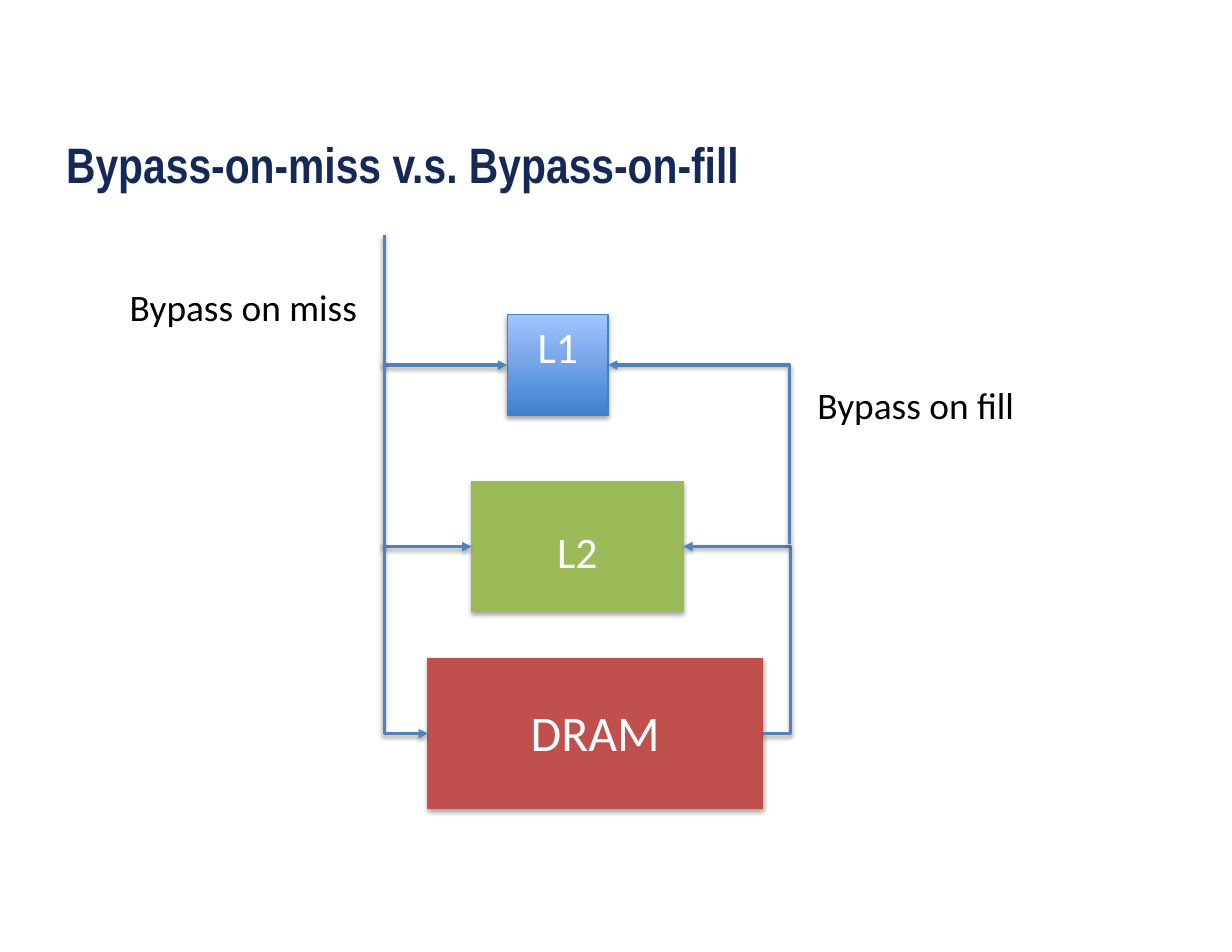
from pptx import Presentation
from pptx.dml.color import RGBColor
from pptx.enum import shapes, text
from pptx.oxml import parse_xml
from pptx.oxml.ns import nsdecls
from pptx.util import Inches, Pt

COLOURS = {
    "title": "142958", "text": "000000", "label": "FFFFFF", "wire": "4F81BD",
    "l1_low": "3F80CE", "l1_high": "A4C4FF", "l1_line": "4B7EBC",
    "l2": "9BBB59", "dram": "C0504D", "shadow": "000000",
}
BUS_X = 3.43      # request line on the left
RETURN_X = 7.06   # fill line on the right
BUS_TOP = 2.1


def colour(name):
    return RGBColor.from_string(COLOURS[name])


def set_font(para, name, size, tint, bold=False):
    font = para.font
    font.name, font.size, font.bold = name, Pt(size), bold
    font.color.rgb = colour(tint)


def add_shadow(item, distance, opacity):
    item._element.spPr.append(parse_xml(
        f'<a:effectLst {nsdecls("a")}><a:outerShdw blurRad="{Pt(3.1)}" '
        f'dist="{Pt(distance)}" dir="5400000" rotWithShape="0">'
        f'<a:srgbClr val="{COLOURS["shadow"]}"><a:alpha val="{opacity * 1000}"/>'
        '</a:srgbClr></a:outerShdw></a:effectLst>'))


def place_title(page, words, left, top, width, height):
    title = page.shapes.title
    title.left, title.top = Inches(left), Inches(top)
    title.width, title.height = Inches(width), Inches(height)
    frame = title.text_frame
    frame.text = words
    frame.vertical_anchor = text.MSO_ANCHOR.TOP
    frame.margin_top = Inches(0.11)
    para = frame.paragraphs[0]
    para.alignment = text.PP_ALIGN.LEFT
    set_font(para, "Arial Narrow", 32, "title", True)


def place_memory(page, words, size, fill, line, margin, left, top, width, height):
    box = page.shapes.add_shape(shapes.MSO_SHAPE.RECTANGLE, Inches(left), Inches(top),
                                Inches(width), Inches(height))
    if isinstance(fill, tuple):
        box.fill.gradient()
        box.fill.gradient_angle = 90
        for stop, name, position in zip(box.fill.gradient_stops, fill, (0, 1)):
            stop.color.rgb = colour(name)
            stop.position = position
    else:
        box.fill.solid()
        box.fill.fore_color.rgb = colour(fill)
    box.line.color.rgb = colour(line)
    box.line.width = Pt(0.75)
    add_shadow(box, 1.8, 35)
    frame = box.text_frame
    frame.text = words
    frame.vertical_anchor = text.MSO_ANCHOR.TOP
    frame.margin_top = Inches(margin)
    para = frame.paragraphs[0]
    para.alignment = text.PP_ALIGN.CENTER
    set_font(para, "Calibri", size, "label")


def add_wire(page, start, end):
    wire = page.shapes.add_connector(shapes.MSO_CONNECTOR.ELBOW,
                                     *(Inches(length) for length in start + end))
    wire.line.color.rgb = colour("wire")
    wire.line.width = Pt(2)
    wire.line._get_or_add_ln().append(
        parse_xml(f'<a:tailEnd {nsdecls("a")} type="triangle"/>'))
    add_shadow(wire, 1.6, 38)
    return wire


def add_miss_wire(page, start, end):
    """One-bend wire, down and then right: a quarter-turned bentConnector2."""
    wire = add_wire(page, start, end)
    (x1, y1), (x2, y2) = start, end
    across, down = x2 - x1, y2 - y1
    wire.left = Inches((x1 + x2 - down) / 2)
    wire.top = Inches((y1 + y2 - across) / 2)
    wire.width, wire.height = Inches(down), Inches(across)
    properties = wire._element.spPr
    properties.prstGeom.set("prst", "bentConnector2")
    properties.xfrm.set("rot", "16200000")
    properties.xfrm.set("flipH", "1")


def add_fill_wire(page, start, end, bend_x):
    """Wire that runs out to bend_x, up, and back to the left."""
    wire = add_wire(page, start, end)
    ratio = round((bend_x - start[0]) / (end[0] - start[0]) * 100000)
    guides = wire._element.spPr.prstGeom.get_or_add_avLst()
    guides.append(parse_xml(f'<a:gd {nsdecls("a")} name="adj1" fmla="val {ratio}"/>'))


def place_label(page, words, left, top, width, height):
    label = page.shapes.add_textbox(Inches(left), Inches(top), Inches(width), Inches(height))
    frame = label.text_frame
    frame.word_wrap = False
    frame.auto_size = text.MSO_AUTO_SIZE.SHAPE_TO_FIT_TEXT
    frame.text = words
    set_font(frame.paragraphs[0], "Calibri", 24, "text")


def place_hierarchy(page):
    # Memory levels: left, top, width, height
    l1, l2, dram = (4.53, 2.81, 0.9, 0.9), (4.21, 4.3, 1.89, 1.16), (3.82, 5.88, 2.99, 1.34)
    place_memory(page, "L1", 28, ("l1_low", "l1_high"), "l1_line", 0.05, *l1)
    place_memory(page, "L2", 28, "l2", "l2", 0.39, *l2)
    place_memory(page, "DRAM", 32, "dram", "dram", 0.39, *dram)

    # Bypass on miss: each wire starts where the last one turned off
    start_y = BUS_TOP
    for left, top, _, height in (l1, l2, dram):
        middle = top + height / 2
        add_miss_wire(page, (BUS_X, start_y), (left, middle))
        start_y = middle - 0.03

    # Bypass on fill: DRAM to L2, then on to L1
    (l1_end, l2_end, dram_end) = [(left + width, top + height / 2)
                                  for left, top, width, height in (l1, l2, dram)]
    add_fill_wire(page, dram_end, l2_end, RETURN_X)
    add_fill_wire(page, (RETURN_X - 0.01, l2_end[1] - 0.02), l1_end, RETURN_X - 0.01)


def main():
    deck = Presentation()
    deck.slide_width, deck.slide_height = Inches(11), Inches(8.5)
    page = deck.slides.add_slide(deck.slide_layouts[5])
    place_title(page, "Bypass-on-miss v.s. Bypass-on-fill", 0.49, 1.08, 7.75, 0.81)
    place_hierarchy(page)
    place_label(page, "Bypass on miss", 1.06, 2.49, 2.26, 0.51)
    place_label(page, "Bypass on fill", 7.2, 3.36, 1.98, 0.51)
    deck.save("out.pptx")


if __name__ == "__main__":
    main()
